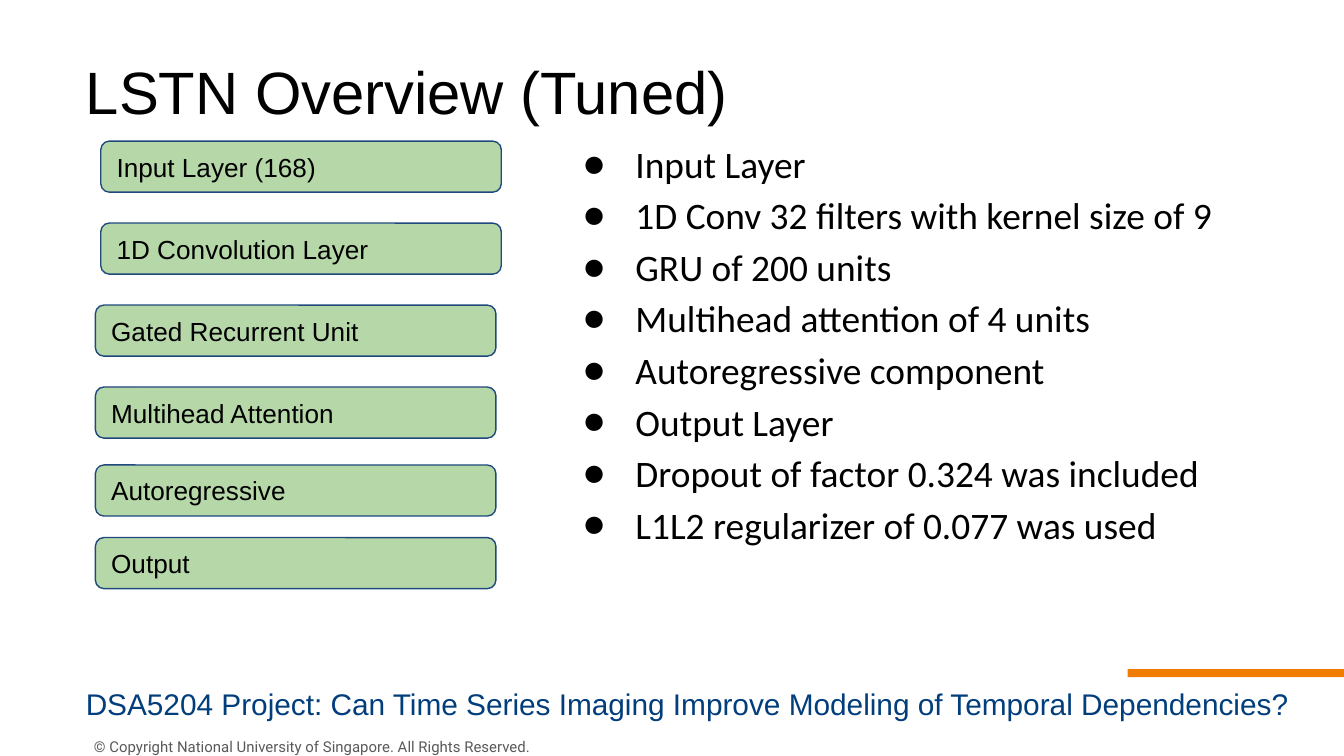
from lxml import etree
from pptx import Presentation
from pptx.dml.color import RGBColor
from pptx.enum.shapes import MSO_SHAPE
from pptx.enum.text import MSO_ANCHOR, PP_ALIGN
from pptx.oxml.ns import qn
from pptx.util import Inches, Pt

RECT = MSO_SHAPE.RECTANGLE
ROUNDED = MSO_SHAPE.ROUNDED_RECTANGLE
MIDDLE = MSO_ANCHOR.MIDDLE
LEFT = PP_ALIGN.LEFT

COLORS = {
    "text": "000000",
    "muted": "595959",
    "navy": "023E7C",
    "orange": "F17D00",
    "green": "B6D7A8",
    "outline": "1F497D",
}

LAYERS = [
    ("Input Layer (168)", 0.75, 1.05),
    ("1D Convolution Layer", 0.75, 1.66),
    ("Gated Recurrent Unit", 0.71, 2.27),
    ("Multihead Attention", 0.71, 2.88),
    ("Autoregressive", 0.71, 3.46),
    ("Output", 0.71, 4),
]

DETAILS = [
    "Input Layer",
    "1D Conv 32 filters with kernel size of 9",
    "GRU of 200 units",
    "Multihead attention of 4 units",
    "Autoregressive component",
    "Output Layer",
    "Dropout of factor 0.324 was included",
    "L1L2 regularizer of 0.077 was used",
]


def rgb(name):
    return RGBColor.from_string(COLORS[name])


def add_bullet(p, font, margin=0.5, indent=-0.39):
    pPr = p._p.get_or_add_pPr()
    pPr.set("marL", str(Inches(margin)))
    pPr.set("indent", str(Inches(indent)))
    color = etree.SubElement(pPr, qn("a:buClr"))
    etree.SubElement(color, qn("a:srgbClr"), val=COLORS["text"])
    etree.SubElement(pPr, qn("a:buFont"), typeface=font)
    etree.SubElement(pPr, qn("a:buChar"), char="●")


def write(p, text, size=14, font="Arial", color="text", bullet=False, spacing=None):
    p.alignment = LEFT
    if bullet:
        add_bullet(p, font)
    if spacing:
        p.line_spacing = spacing
    r = p.add_run()
    r.text = text
    r.font.size = Pt(size)
    r.font.name = font
    r.font.color.rgb = rgb(color)


class SlideBuilder:
    """Holds the slide and its style, and adds each kind of element."""

    def __init__(self, s):
        self.s = s

    def text(self, lines, x, y, w, h, **style):
        sp = self.s.shapes.add_textbox(Inches(x), Inches(y), Inches(w), Inches(h))
        tf = sp.text_frame
        tf.word_wrap = True
        for i, line in enumerate(lines):
            p = tf.add_paragraph() if i else tf.paragraphs[0]
            write(p, line, **style)

    def shape(self, kind, x, y, w, h, fill):
        sp = self.s.shapes.add_shape(kind, Inches(x), Inches(y), Inches(w), Inches(h))
        sp.shadow.inherit = False
        sp.fill.solid()
        sp.fill.fore_color.rgb = rgb(fill)
        sp.line.fill.background()
        return sp

    def layer(self, label, x, y):
        sp = self.shape(ROUNDED, x, y, 2.98, 0.38, "green")
        sp.line.color.rgb = rgb("outline")
        sp.line.width = Pt(0.75)
        tf = sp.text_frame
        tf.word_wrap = True
        tf.vertical_anchor = MIDDLE
        tf.margin_top = tf.margin_bottom = Inches(0.1)
        write(tf.paragraphs[0], label)


def main():
    prs = Presentation()
    prs.slide_width = Inches(10)
    prs.slide_height = Inches(10) * 9 // 16
    slide = SlideBuilder(prs.slides.add_slide(prs.slide_layouts[6]))

    slide.text(["© Copyright National University of Singapore. All Rights Reserved."],
               0.6, 5.44, 3.51, 0.24, size=8, font="Roboto", color="muted")
    slide.shape(RECT, 8.39, 4.98, 1.61, 0.06, "orange")
    slide.text(["LSTN Overview (Tuned)"], 0.54, 0.36, 7.82, 0.59, size=32)
    slide.text(DETAILS, 4.13, 0.95, 5.87, 3.15,
               size=20, font="Calibri", bullet=True, spacing=1.15)
    slide.text(["DSA5204 Project: Can Time Series Imaging Improve Modeling of "
                "Temporal Dependencies?"],
               0.54, 5.05, 9.36, 0.32, size=16, color="navy")
    for label, x, y in LAYERS:
        slide.layer(label, x, y)

    prs.save("out.pptx")


if __name__ == "__main__":
    main()
